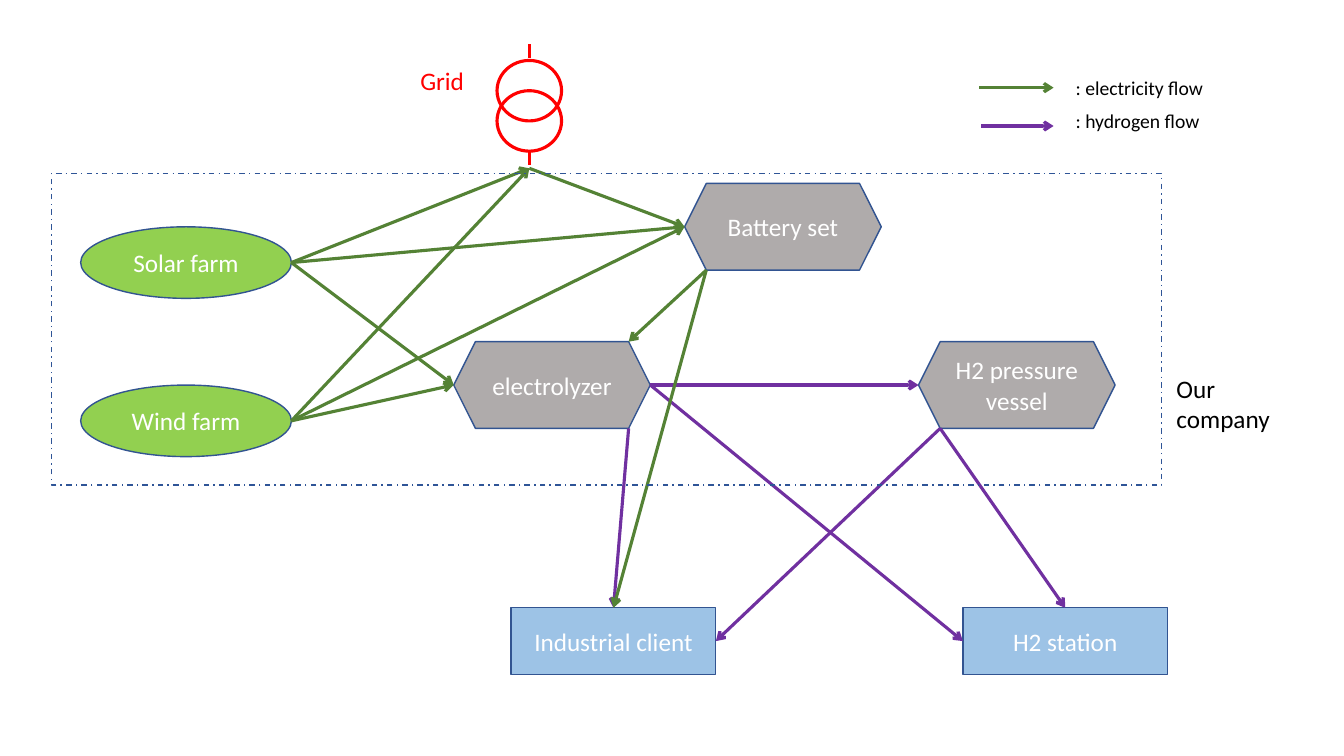
from typing import NamedTuple

from lxml.etree import SubElement
from pptx import Presentation
from pptx.dml.color import RGBColor
from pptx.enum.dml import MSO_LINE
from pptx.enum.shapes import MSO_CONNECTOR, MSO_SHAPE
from pptx.enum.text import MSO_ANCHOR, MSO_AUTO_SIZE, PP_ALIGN
from pptx.oxml.ns import qn
from pptx.util import Inches, Pt

COLORS = {
    "farm": "92D050", "client": "9DC3E6", "unit": "AFABAB", "outline": "325491",
    "frame": "2F5597", "grid": "FF0000", "electricity": "548235",
    "hydrogen": "7030A0", "white": "FFFFFF", "black": "000000",
}
FLOW_WIDTH = 2.25
HEXAGON_INSET = 0.25  # corner inset as a share of the height


class Style(NamedTuple):
    """Look and size shared by one family of nodes."""
    preset: MSO_SHAPE
    fill: str
    width: float
    height: float


class Node(NamedTuple):
    """One labelled part of the energy system."""
    label: str
    style: Style
    left: float
    top: float

    def anchor(self, side: str) -> tuple[float, float]:
        """Return the point where a flow touches the node."""
        width, height = self.style.width, self.style.height
        inset = HEXAGON_INSET * height
        dx, dy = {
            "left": (0, height / 2), "right": (width, height / 2),
            "top": (width / 2, 0), "lower left": (inset, height),
            "upper right": (width - inset, 0),
            "lower right": (width - inset, height),
        }[side]
        return self.left + dx, self.top + dy


class Flow(NamedTuple):
    """An arrow that carries electricity or hydrogen."""
    kind: str
    start: tuple[float, float]
    end: tuple[float, float]


class Label(NamedTuple):
    """Free text beside the diagram."""
    text: str
    box: tuple[float, float, float, float]
    size: int
    color: str
    wrap: bool = False


FARM = Style(MSO_SHAPE.OVAL, "farm", 2.09, 0.71)
CLIENT = Style(MSO_SHAPE.RECTANGLE, "client", 2.03, 0.66)
UNIT = Style(MSO_SHAPE.HEXAGON, "unit", 1.95, 0.86)

solar = Node("Solar farm", FARM, 0.8, 2.25)
wind = Node("Wind farm", FARM, 0.8, 3.82)
industry = Node("Industrial client", CLIENT, 5.07, 6.03)
station = Node("H2 station", CLIENT, 9.55, 6.03)
electrolyzer = Node("electrolyzer", UNIT, 4.5, 3.39)
battery = Node("Battery set", UNIT, 6.79, 1.82)
vessel = Node("H2 pressure vessel", UNIT, 9.11, 3.39)
NODES = [solar, wind, industry, station, electrolyzer, battery, vessel]

GRID_X = 5.25
GRID_FOOT = (GRID_X, 1.67)
GRID_RING = (0.64, 0.6)
FRAME = (0.51, 1.72, 11.01, 3.09)

FLOWS = [
    Flow("hydrogen", electrolyzer.anchor("right"), vessel.anchor("left")),
    Flow("hydrogen", electrolyzer.anchor("lower right"), industry.anchor("top")),
    Flow("hydrogen", electrolyzer.anchor("right"), station.anchor("left")),
    Flow("hydrogen", vessel.anchor("lower left"), station.anchor("top")),
    Flow("hydrogen", vessel.anchor("lower left"), industry.anchor("right")),
    *(Flow("electricity", farm.anchor("right"), target)
      for farm in (solar, wind)
      for target in (electrolyzer.anchor("left"), GRID_FOOT, battery.anchor("left"))),
    Flow("electricity", GRID_FOOT, battery.anchor("left")),
    Flow("electricity", battery.anchor("lower left"), electrolyzer.anchor("upper right")),
    Flow("electricity", battery.anchor("lower left"), industry.anchor("top")),
    Flow("electricity", (9.71, 0.87), (10.45, 0.87)),
    Flow("hydrogen", (9.73, 1.25), (10.45, 1.25)),
]

LABELS = [
    Label(": electricity flow", (10.57, 0.7, 1.48, 0.34), 14, "black"),
    Label(": hydrogen flow", (10.57, 1.03, 1.44, 0.34), 14, "black"),
    Label("Grid", (4.07, 0.6, 0.64, 0.4), 18, "grid"),
    Label("Our company", (11.57, 3.65, 1.23, 0.71), 18, "black", wrap=True),
]


def rgb(name: str) -> RGBColor:
    """Look up a colour by its role."""
    return RGBColor.from_string(COLORS[name])


def set_all(target, values: dict) -> None:
    """Set every attribute named in the dict."""
    for name, value in values.items():
        setattr(target, name, value)


def write(shape, text: str, size: int, color: str, frame_format: dict, align) -> None:
    """Put one formatted paragraph into a shape."""
    set_all(shape.text_frame, frame_format)
    paragraph = shape.text_frame.paragraphs[0]
    paragraph.alignment = align
    run = paragraph.add_run()
    run.text = text
    set_all(run.font, {"name": "Calibri", "size": Pt(size)})
    run.font.color.rgb = rgb(color)


def add_outline(slide, preset, box, line: str, width: float, fill: str | None = None):
    """Add a preset shape without shadow, filled only when a fill is given."""
    shape = slide.shapes.add_shape(preset, *map(Inches, box))
    shape.shadow.inherit = False
    if fill:
        shape.fill.solid()
        shape.fill.fore_color.rgb = rgb(fill)
    else:
        shape.fill.background()
    shape.line.color.rgb = rgb(line)
    shape.line.width = Pt(width)
    return shape


def add_node(slide, node: Node) -> None:
    """Draw a node with its centred label."""
    style = node.style
    box = (node.left, node.top, style.width, style.height)
    shape = add_outline(slide, style.preset, box, "outline", 1, style.fill)
    frame_format = {"word_wrap": True, "vertical_anchor": MSO_ANCHOR.MIDDLE}
    write(shape, node.label, 18, "white", frame_format, PP_ALIGN.CENTER)


def add_line(slide, start, end, color: str, arrow: bool = False) -> None:
    """Draw a straight line, with an open arrowhead at its end if asked."""
    connector = slide.shapes.add_connector(
        MSO_CONNECTOR.STRAIGHT, *map(Inches, (*start, *end)))
    connector.line.color.rgb = rgb(color)
    connector.line.width = Pt(FLOW_WIDTH)
    if arrow:
        SubElement(connector.line._get_or_add_ln(), qn("a:tailEnd"), type="arrow")
    SubElement(connector._element.spPr, qn("a:effectLst"))


def add_grid(slide) -> None:
    """Draw the transformer symbol: two rings with a lead at each end."""
    width, height = GRID_RING
    for top, fill in ((0.9, "white"), (0.6, None)):
        box = (GRID_X - width / 2, top, width, height)
        add_outline(slide, MSO_SHAPE.OVAL, box, "grid", FLOW_WIDTH, fill)
    for top in (0.44, 1.5):
        add_line(slide, (GRID_X, top), (GRID_X, top + 0.14), "grid")


def add_label(slide, label: Label) -> None:
    """Add a text box beside the diagram."""
    shape = slide.shapes.add_textbox(*map(Inches, label.box))
    frame_format = {"word_wrap": label.wrap, "auto_size": MSO_AUTO_SIZE.SHAPE_TO_FIT_TEXT}
    write(shape, label.text, label.size, label.color, frame_format, PP_ALIGN.LEFT)


def main() -> None:
    """Build and save the energy flow slide."""
    presentation = Presentation()
    set_all(presentation, {"slide_width": Inches(13.33), "slide_height": Inches(7.5)})
    slide = presentation.slides.add_slide(presentation.slide_layouts[6])
    for node in NODES:
        add_node(slide, node)
    add_grid(slide)
    for flow in FLOWS:
        add_line(slide, flow.start, flow.end, flow.kind, arrow=True)
    for label in LABELS:
        add_label(slide, label)
    frame = add_outline(slide, MSO_SHAPE.RECTANGLE, FRAME, "frame", 1)
    frame.line.dash_style = MSO_LINE.DASH_DOT
    presentation.save("out.pptx")


main()
